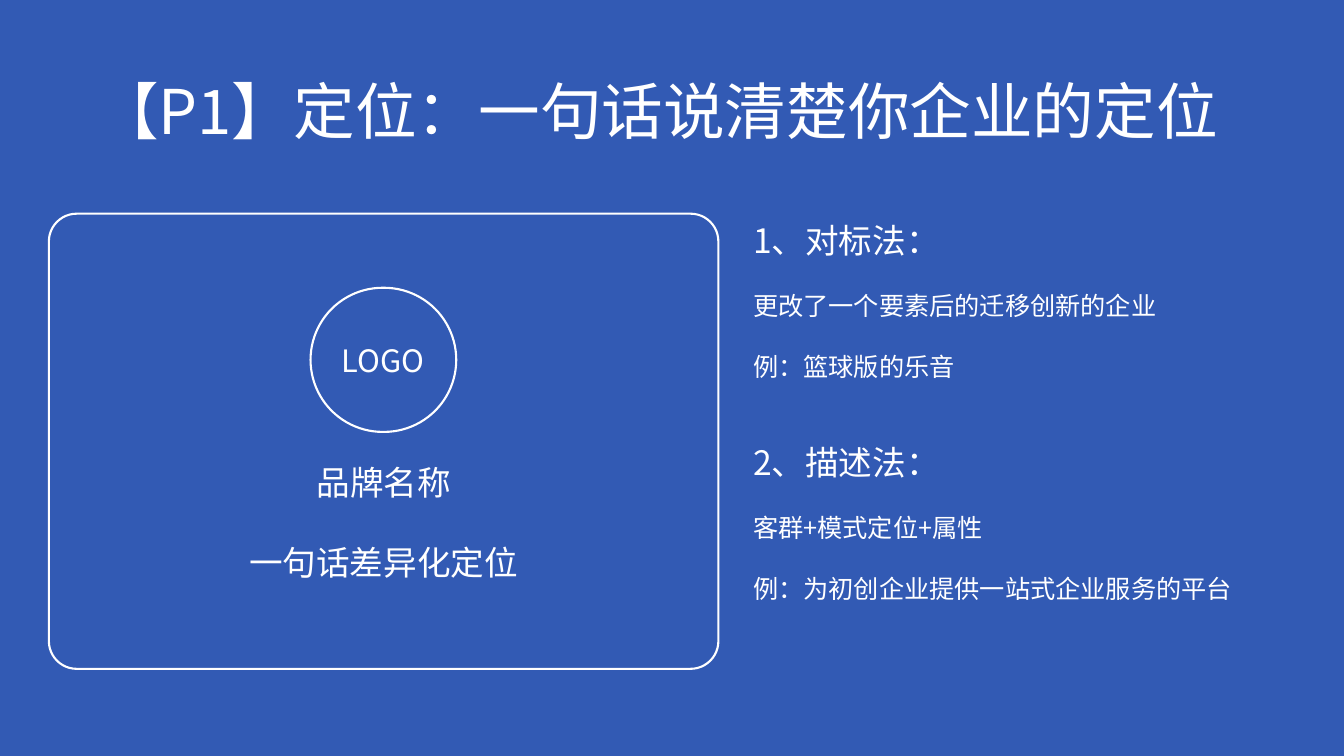
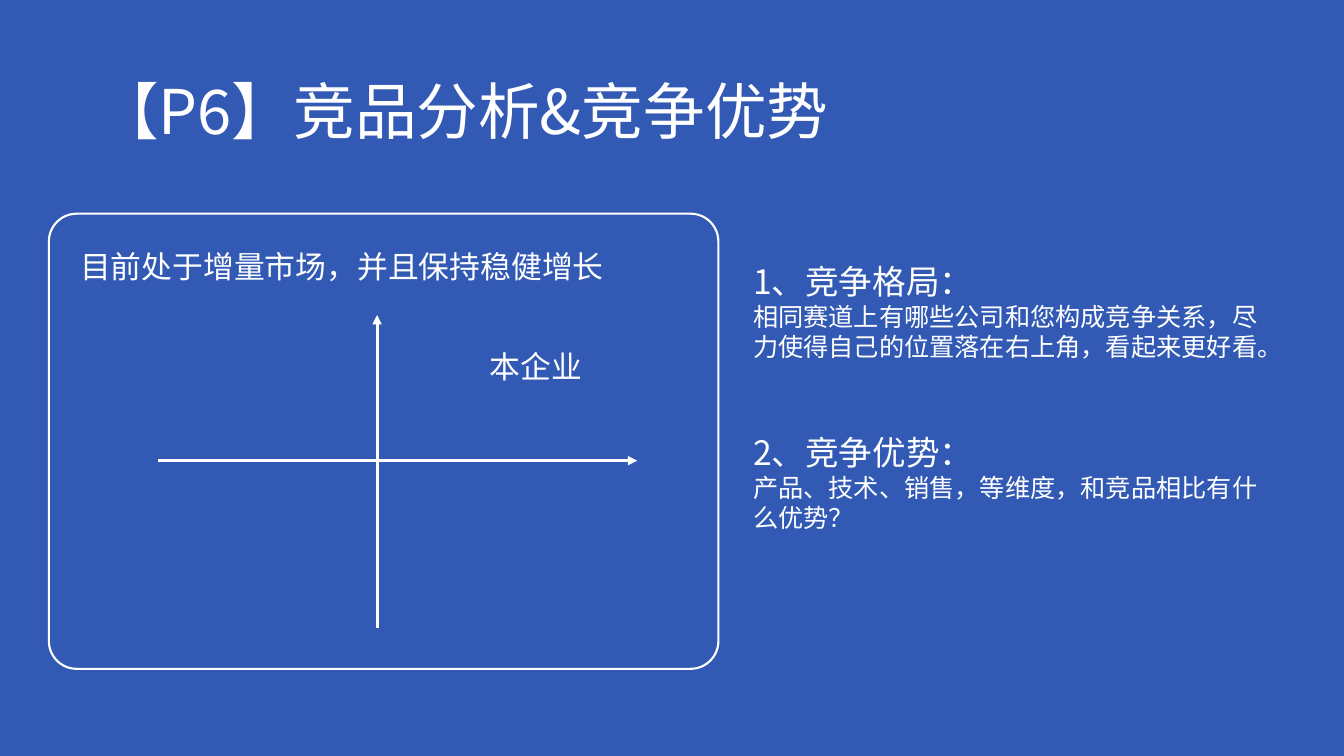
from dataclasses import dataclass
from lxml import etree
from pptx import Presentation
from pptx.dml.color import RGBColor
from pptx.enum.lang import MSO_LANGUAGE_ID as LANG
from pptx.enum.shapes import MSO_CONNECTOR as CONN, MSO_SHAPE as SHAPE
from pptx.enum.text import MSO_ANCHOR as ANCHOR, PP_ALIGN as ALIGN
from pptx.oxml.ns import qn
from pptx.util import Pt

# Content: notes are (heading, body lines)
POSITION = {
    "title": "【P1】定位：一句话说清楚你企业的定位",
    "logo": "LOGO",
    "card": ["品牌名称", "一句话差异化定位"],
    "notes": [
        ("1、对标法：", ["更改了一个要素后的迁移创新的企业", "例：篮球版的乐音"]),
        ("2、描述法：", ["客群+模式定位+属性", "例：为初创企业提供一站式企业服务的平台"]),
    ],
}
RIVALS = {
    "title": "【P6】竞品分析&竞争优势",
    "market": "目前处于增量市场，并且保持稳健增长",
    "company": "本企业",
    "notes": [
        ("1、竞争格局：", ["相同赛道上有哪些公司和您构成竞争关系，"
                     "尽力使得自己的位置落在右上角，看起来更好看。"]),
        ("2、竞争优势：", ["产品、技术、销售，等维度，和竞品相比有什么优势？"]),
    ],
}


@dataclass(frozen=True)
class Theme:
    back: RGBColor = RGBColor.from_string("325AB4")
    ink: RGBColor = RGBColor.from_string("FFFFFF")
    font: str = "Noto Sans CJK SC"
    title: int = 88
    head: int = 48
    label: int = 44
    body: int = 36
    leading: float = 1.2
    outline: float = 3
    axis: float = 4.5

    def line(self, size):
        return self.leading * size


T = Theme()

# Places: left, top, width, height in points
SLIDE = (1919.5, 1080)
TITLE = (131.8, 57.6, 1656, 208.8)
CARD = (69.8, 305.3, 956.2, 650.2)
LOGO = (443.5, 411.1, 208.1, 205.9)
NOTES = (1068.5, 311, 756, 559.4)
MARKET = (107.3, 350.6, 829.4, 60.5)
COMPANY = (692.6, 493.2, 226.1, 60.5)
AXES = [(225.4, 658.1, 910.1, 658.1), (538.6, 897.8, 538.6, 450)]
INSET = 3.6


def write(tf, rows, align=None, tight=1):
    """Fill a frame with rows of (text, size, space before)."""
    tf.word_wrap = True
    for i, (text, size, before) in enumerate(rows):
        p = tf.add_paragraph() if i else tf.paragraphs[0]
        p.text = text
        p.alignment = align
        p.line_spacing = Pt(round(T.line(size) * tight, 1))
        if i:
            p.space_before = Pt(before)
        font = p.runs[0].font
        font.size, font.name = Pt(size), T.font
        font.color.rgb = T.ink
        font.language_id = LANG.SIMPLIFIED_CHINESE
        latin = p.runs[0]._r.rPr.find(qn("a:latin"))
        ea = etree.Element(qn("a:ea"), typeface=T.font)
        latin.addnext(ea)


def add_text(s, place, rows, tight=1):
    tf = s.shapes.add_textbox(*map(Pt, place)).text_frame
    write(tf, rows, tight=tight)
    return tf


def add_outline(s, place, radius):
    sp = s.shapes.add_shape(SHAPE.ROUNDED_RECTANGLE, *map(Pt, place))
    sp.adjustments[0] = radius
    sp.shadow.inherit = False
    sp.fill.background()
    sp.line.color.rgb = T.ink
    sp.line.width = Pt(T.outline)
    sp.text_frame.vertical_anchor = ANCHOR.MIDDLE
    return sp


def add_axis(s, ends):
    line = s.shapes.add_connector(CONN.STRAIGHT, *map(Pt, ends))
    line.line.color.rgb = T.ink
    line.line.width = Pt(T.axis)
    etree.SubElement(line.line._get_or_add_ln(), qn("a:tailEnd"), type="triangle")
    etree.SubElement(line._element.spPr, qn("a:effectLst"))


def note_rows(notes, head_gap, body_gap):
    rows = []
    for head, lines in notes:
        rows.append((head, T.head, head_gap))
        rows += [(text, T.body, body_gap) for text in lines]
    return rows


def add_base(prs, title):
    """Background, title and card shared by the slides."""
    s = prs.slides.add_slide(prs.slide_layouts[6])
    s.background.fill.solid()
    s.background.fill.fore_color.rgb = T.back
    tf = add_text(s, TITLE, [(title, T.title, 0)], tight=0.9)
    tf.vertical_anchor = ANCHOR.MIDDLE
    return s, add_outline(s, CARD, 0.061)


def position_slide(prs):
    s, card = add_base(prs, POSITION["title"])
    # Card text sits below the logo ring
    gap = T.line(T.head)
    card.text_frame.margin_top = Pt(INSET + 4 * gap)
    write(card.text_frame, [(t, T.head, gap) for t in POSITION["card"]], ALIGN.CENTER)
    logo = add_outline(s, LOGO, 0.5)
    write(logo.text_frame, [(POSITION["logo"], T.label, 0)], ALIGN.CENTER)
    # Notes with one open line between paragraphs
    gap = T.line(T.body)
    add_text(s, NOTES, note_rows(POSITION["notes"], 2 * gap, gap))


def rivals_slide(prs):
    s, _ = add_base(prs, RIVALS["title"])
    # Notes start one heading line lower
    gap = T.line(T.head)
    rows = note_rows(RIVALS["notes"], gap + T.line(T.body), 0)
    tf = add_text(s, (*NOTES[:3], 501.8), rows)
    tf.margin_top = Pt(INSET + gap)
    # Competition map
    for ends in AXES:
        add_axis(s, ends)
    add_text(s, MARKET, [(RIVALS["market"], T.label, 0)])
    add_text(s, COMPANY, [(RIVALS["company"], T.label, 0)])


def main():
    prs = Presentation()
    prs.slide_width, prs.slide_height = map(Pt, SLIDE)
    position_slide(prs)
    rivals_slide(prs)
    prs.save("out.pptx")


if __name__ == "__main__":
    main()
